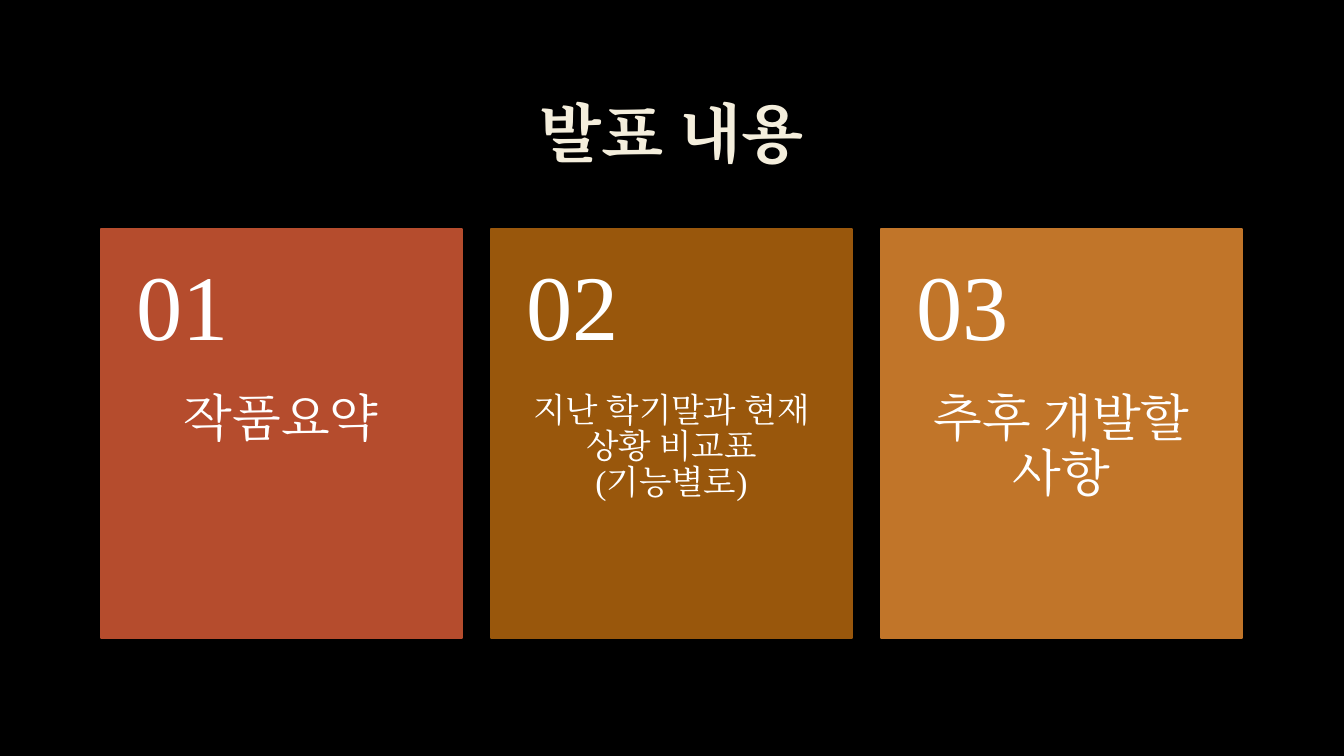
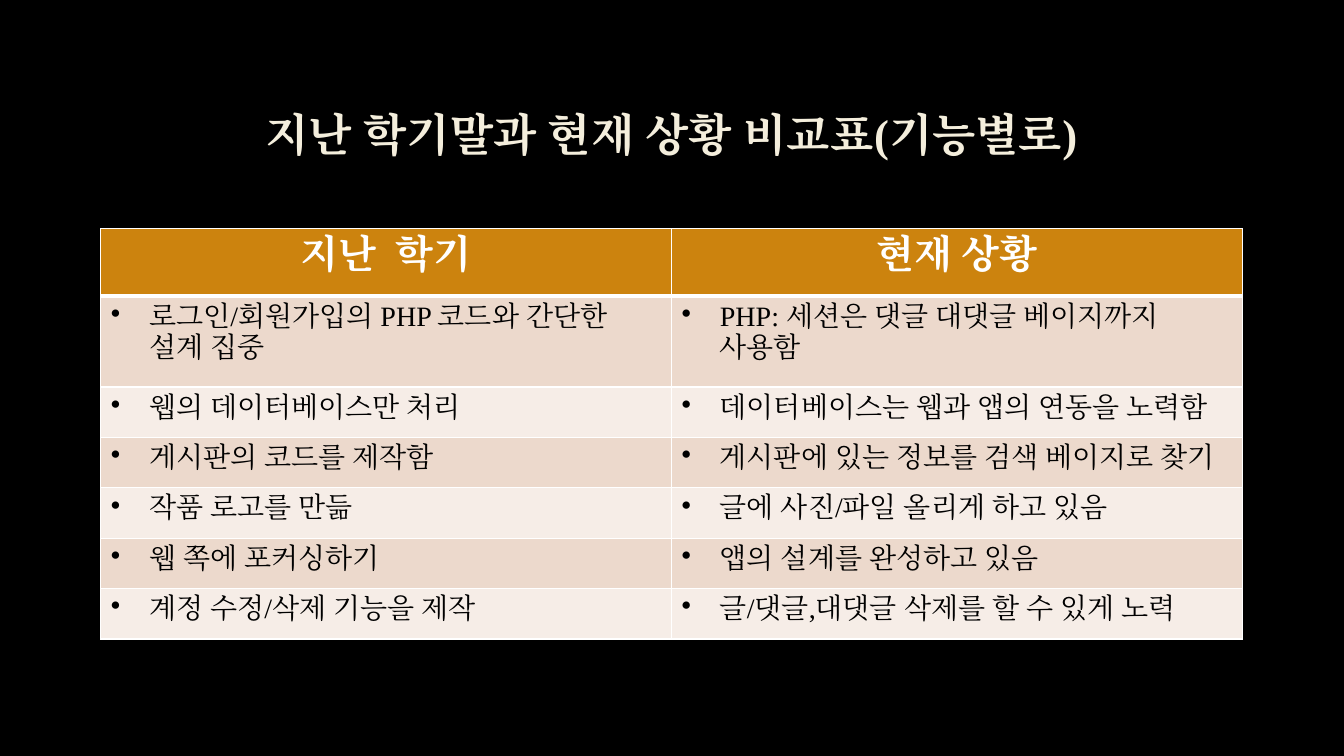
from dataclasses import dataclass

from lxml.etree import SubElement
from pptx import Presentation
from pptx.dml.color import RGBColor
from pptx.enum.lang import MSO_LANGUAGE_ID
from pptx.enum.shapes import MSO_SHAPE
from pptx.enum.text import MSO_ANCHOR, MSO_AUTO_SIZE, PP_ALIGN
from pptx.oxml import parse_xml
from pptx.oxml.ns import nsdecls, qn
from pptx.presentation import Presentation as Deck
from pptx.slide import Slide
from pptx.table import _Cell as Cell
from pptx.text.text import TextFrame
from pptx.util import Inches, Pt

COLORS = {
    "background": "000000",
    "title": "F4EEDC",
    "title_outline": "404040",
    "white": "FFFFFF",
    "body": "000000",
    "red": "B54C2D",
    "brown": "99570C",
    "orange": "C17529",
    "header": "CC830E",
    "row_dark": "ECD9CC",
    "row_light": "F6EDE7",
}
FONT = "Times New Roman"
LEFT, CONTENT_TOP, CONTENT_WIDTH = 1.0, 2.27, 11.32
CARD_WIDTH, CARD_HEIGHT, NUMBER_HEIGHT = 3.58, 4.06, 1.63
BULLET_INDENT = 0.38
COMPARISON_TITLE = "지난 학기말과 현재 상황 비교표(기능별로)"


@dataclass(frozen=True)
class Card:
    label: str
    color: str
    size: int


@dataclass(frozen=True)
class Comparison:
    before: str
    now: str
    height: float = 0.5


CARDS = [
    Card("작품요약", "red", 36),
    Card(COMPARISON_TITLE, "brown", 24),
    Card("추후 개발할 사항", "orange", 36),
]
HEADER = Comparison("지난  학기", "현재 상황", 0.67)
COMPARISONS = [
    Comparison("로그인/회원가입의 PHP 코드와 간단한 설계 집중",
               "PHP: 세션은 댓글 대댓글 베이지까지 사용함", 0.9),
    Comparison("웹의 데이터베이스만 처리", "데이터베이스는 웹과 앱의 연동을 노력함"),
    Comparison("게시판의 코드를 제작함", "게시판에 있는 정보를 검색 베이지로 찾기"),
    Comparison("작품 로고를 만듦", "글에 사진/파일 올리게 하고 있음"),
    Comparison("웹 쪽에 포커싱하기", "앱의 설계를 완성하고 있음"),
    Comparison("계정 수정/삭제 기능을 제작", "글/댓글,대댓글 삭제를 할 수 있게 노력"),
]


def rgb(name: str) -> RGBColor:
    return RGBColor.from_string(COLORS[name])


def write(frame: TextFrame, text: str, *, size: float, color: str = "white",
          bold: bool = False, align: PP_ALIGN = PP_ALIGN.LEFT,
          spacing: float | None = None, bullet: bool = False,
          outline: str | None = None) -> None:
    paragraph = frame.paragraphs[0]
    paragraph.alignment = align
    paragraph.line_spacing = spacing
    if bullet:
        properties = paragraph._p.get_or_add_pPr()
        properties.set("marL", str(Inches(BULLET_INDENT)))
        properties.set("indent", str(-Inches(BULLET_INDENT)))
        SubElement(properties, qn("a:buChar"), char="•")
    run = paragraph.add_run()
    run.text = text
    font = run.font
    font.name, font.size, font.bold = FONT, Pt(size), bold
    font.language_id = MSO_LANGUAGE_ID.KOREAN
    font.color.rgb = rgb(color)
    SubElement(font._element, qn("a:ea"), typeface=FONT)
    if outline:
        font._element.insert(0, parse_xml(
            f'<a:ln {nsdecls("a")} w="{Pt(0.75)}"><a:solidFill>'
            f'<a:srgbClr val="{COLORS[outline]}"><a:alpha val="10000"/></a:srgbClr>'
            '</a:solidFill></a:ln>'))


def add_titled_slide(deck: Deck, title: str, size: float) -> Slide:
    slide = deck.slides.add_slide(deck.slide_layouts[5])
    heading = slide.shapes.title
    heading.left, heading.top = Inches(LEFT), Inches(0.67)
    heading.width, heading.height = Inches(CONTENT_WIDTH), Inches(1.38)
    frame = heading.text_frame
    frame.auto_size = MSO_AUTO_SIZE.NONE
    frame.word_wrap = True
    frame.vertical_anchor = MSO_ANCHOR.MIDDLE
    write(frame, title, size=size, color="title", bold=True,
          align=PP_ALIGN.CENTER, spacing=0.9, outline="title_outline")
    return slide


def add_card(slide: Slide, card: Card, index: int) -> None:
    gap = (CONTENT_WIDTH - len(CARDS) * CARD_WIDTH) / (len(CARDS) - 1)
    left, width = Inches(LEFT + index * (CARD_WIDTH + gap)), Inches(CARD_WIDTH)
    parts = slide.shapes.add_group_shape().shapes
    panel = parts.add_shape(MSO_SHAPE.RECTANGLE, left, Inches(CONTENT_TOP),
                            width, Inches(CARD_HEIGHT))
    panel.shadow.inherit = False
    panel.fill.solid()
    panel.fill.fore_color.rgb = rgb(card.color)
    panel.line.color.rgb = rgb(card.color)
    panel.line.width = Pt(1.25)

    label = parts.add_textbox(left, Inches(CONTENT_TOP + NUMBER_HEIGHT), width,
                              Inches(CARD_HEIGHT - NUMBER_HEIGHT)).text_frame
    number = parts.add_textbox(left, Inches(CONTENT_TOP), width,
                               Inches(NUMBER_HEIGHT)).text_frame
    for frame, top, bottom in ((label, 0, 0.36), (number, 0.18, 0.18)):
        frame.word_wrap = True
        frame.margin_left = frame.margin_right = Inches(0.35)
        frame.margin_top, frame.margin_bottom = Inches(top), Inches(bottom)
    number.vertical_anchor = MSO_ANCHOR.MIDDLE
    write(label, card.label, size=card.size, align=PP_ALIGN.CENTER, spacing=0.9)
    write(number, f"{index + 1:02}", size=66, spacing=0.9)


def style_cell(cell: Cell, fill: str, top: float = 1, bottom: float = 1) -> None:
    cell.fill.solid()
    cell.fill.fore_color.rgb = rgb(fill)
    borders = {"lnL": 1, "lnR": 1, "lnT": top, "lnB": bottom}
    for position, (side, width) in enumerate(borders.items()):
        cell._tc.tcPr.insert(position, parse_xml(
            f'<a:{side} {nsdecls("a")} w="{Pt(width)}"><a:solidFill>'
            f'<a:srgbClr val="{COLORS["white"]}"/></a:solidFill></a:{side}>'))


def add_comparison_table(slide: Slide) -> None:
    entries = [HEADER, *COMPARISONS]
    table = slide.shapes.add_table(
        len(entries), 2, Inches(LEFT), Inches(CONTENT_TOP), Inches(CONTENT_WIDTH),
        Inches(sum(entry.height for entry in entries))).table
    for column in table.columns:
        column.width = Inches(CONTENT_WIDTH / 2)
    for index, entry in enumerate(entries):
        table.rows[index].height = Inches(entry.height)
        for cell, text in zip(table.rows[index].cells, (entry.before, entry.now)):
            if index == 0:
                style_cell(cell, "header", bottom=3)
                write(cell.text_frame, text, size=28, bold=True, align=PP_ALIGN.CENTER)
            else:
                style_cell(cell, "row_dark" if index % 2 else "row_light",
                           top=3 if index == 1 else 1)
                write(cell.text_frame, text, size=20, color="body", bullet=True)


def main() -> None:
    deck = Presentation()
    deck.slide_width, deck.slide_height = Inches(13.33), Inches(7.5)
    backdrop = deck.slide_master.background.fill
    backdrop.solid()
    backdrop.fore_color.rgb = rgb("background")

    contents = add_titled_slide(deck, "발표 내용", 46)
    for index, card in enumerate(CARDS):
        add_card(contents, card, index)

    add_comparison_table(add_titled_slide(deck, COMPARISON_TITLE, 32))
    deck.save("out.pptx")


if __name__ == "__main__":
    main()
